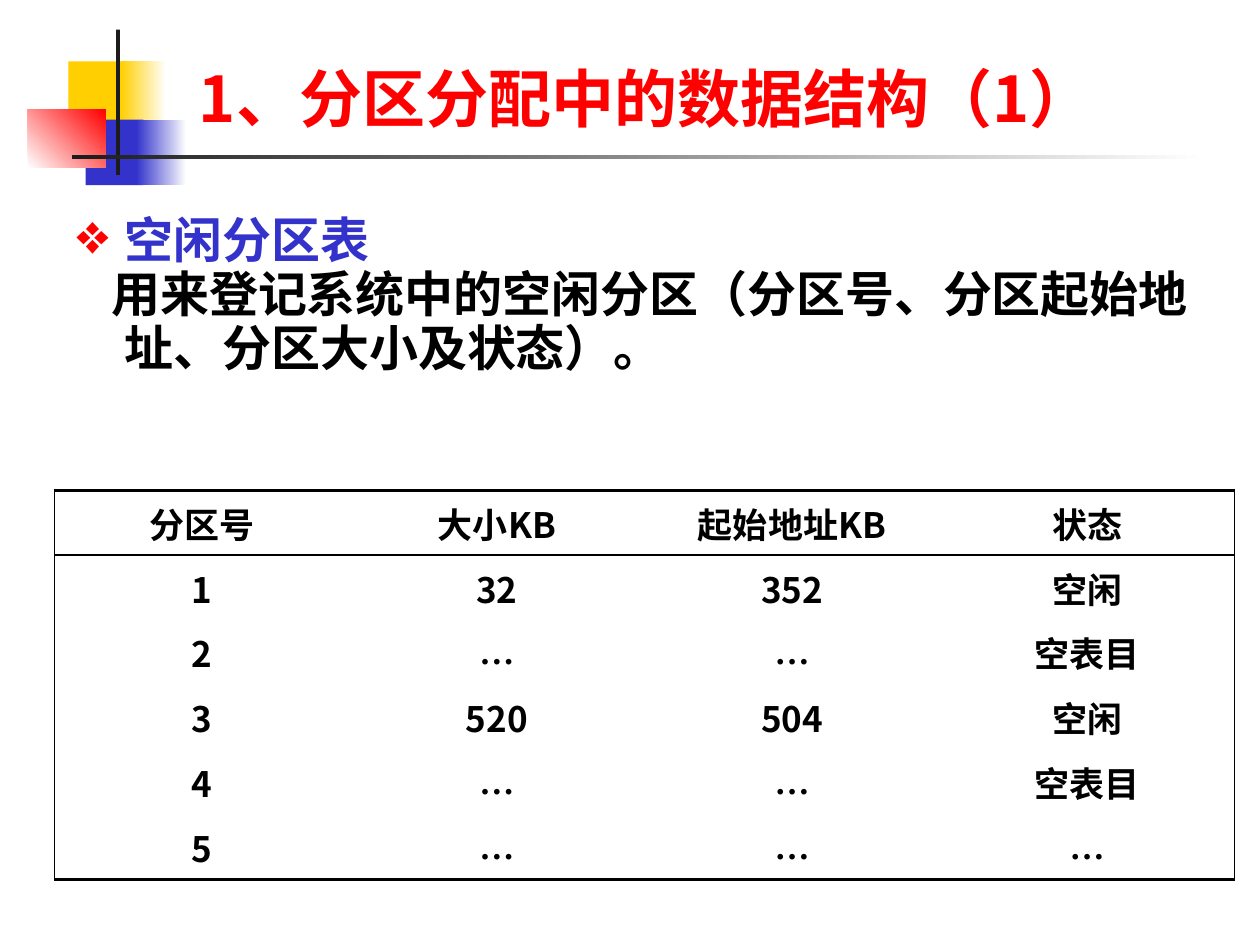
from dataclasses import dataclass

from lxml.etree import SubElement
from pptx import Presentation
from pptx.dml.color import RGBColor as Color
from pptx.enum.shapes import MSO_SHAPE as Shape
from pptx.enum.text import MSO_ANCHOR as Anchor, MSO_AUTO_SIZE as AutoSize, PP_ALIGN as Align
from pptx.oxml import parse_xml
from pptx.oxml.ns import nsdecls, qn
from pptx.util import Pt


@dataclass(frozen=True)
class Theme:
    font: str = "Noto Sans CJK SC"
    dots_font: str = "Times New Roman"
    title_size: int = 36
    body_size: int = 28
    cell_size: int = 20
    red: str = "FF0000"
    blue: str = "3333CC"
    yellow: str = "FFCF01"
    dark: str = "1C1C1C"
    black: str = "000000"
    white: str = "FFFFFF"


THEME = Theme()


def write(para, text, size, color, font=THEME.font, align=Align.LEFT, spacing=1.0):
    """Put bold text in a paragraph, with the same font for both scripts."""
    para.alignment = align
    para.line_spacing = spacing
    para.space_before = Pt(0)
    span = para.add_run()
    span.text = text
    span.font.name = font
    span.font.size = Pt(size)
    span.font.bold = True
    span.font.color.rgb = Color.from_string(color)
    SubElement(span.font._element, qn("a:ea"), typeface=font)


def indent(para, left, first, bullet=None):
    """Set a hanging indent in points and an optional coloured bullet."""
    props = para._p.get_or_add_pPr()
    props.set("marL", str(Pt(left)))
    props.set("indent", str(Pt(first)))
    if bullet:
        color = SubElement(props, qn("a:buClr"))
        SubElement(color, qn("a:srgbClr"), val=THEME.red)
        SubElement(props, qn("a:buSzPct"), val="115000")
        SubElement(props, qn("a:buChar"), char=bullet)
    else:
        SubElement(props, qn("a:buNone"))


def set_borders(cell, widths):
    """Draw the left, right, top and bottom edges; a width of 0 hides one."""
    props = cell._tc.get_or_add_tcPr()
    for place, (side, width) in enumerate(zip("LRTB", widths)):
        paint = (f'<a:solidFill><a:srgbClr val="{THEME.black}"/></a:solidFill>'
                 if width else "<a:noFill/>")
        props.insert(place, parse_xml(
            f'<a:ln{side} {nsdecls("a")} w="{Pt(width)}">{paint}</a:ln{side}>'))


class SlideBuilder:
    def __init__(self, page, theme):
        self.page = page
        self.theme = theme

    def block(self, left, top, width, height, start, end=None, angle=0):
        box = self.page.shapes.add_shape(
            Shape.RECTANGLE, Pt(left), Pt(top), Pt(width), Pt(height))
        box.shadow.inherit = False
        box.line.fill.background()
        if end is None:
            box.fill.solid()
            box.fill.fore_color.rgb = Color.from_string(start)
            return
        box.fill.gradient()
        box.fill.gradient_angle = angle
        for stop, color in zip(box.fill.gradient_stops, (start, end)):
            stop.color.rgb = Color.from_string(color)

    def title(self, text, left, top, width, height):
        box = self.page.shapes.title
        box.left, box.top, box.width, box.height = map(Pt, (left, top, width, height))
        frame = box.text_frame
        frame.auto_size = AutoSize.NONE
        frame.vertical_anchor = Anchor.BOTTOM
        frame.margin_bottom = 0
        write(frame.paragraphs[0], text, self.theme.title_size, self.theme.red)

    def body(self, heading, text, left, top, width, height):
        box = self.page.shapes.add_textbox(Pt(left), Pt(top), Pt(width), Pt(height))
        frame = box.text_frame
        frame.word_wrap = True
        frame.margin_top = Pt(6.5)
        size, spacing = self.theme.body_size, 0.92
        para = frame.paragraphs[0]
        indent(para, 27.4, -27.4, bullet="❖")
        write(para, heading, size, self.theme.blue, spacing=spacing)
        para = frame.add_paragraph()
        indent(para, 27.4, -7.6)
        write(para, text, size, self.theme.black, spacing=spacing)

    def table(self, rows, left, top, width, height):
        last_row, last_column = len(rows) - 1, len(rows[0]) - 1
        grid = self.page.shapes.add_table(
            len(rows), len(rows[0]), Pt(left), Pt(top), Pt(width), Pt(height)).table
        grid.first_row = grid.horz_banding = False
        for r, row in enumerate(rows):
            for c, text in enumerate(row):
                cell = grid.cell(r, c)
                cell.fill.background()
                cell.vertical_anchor = Anchor.MIDDLE
                cell.margin_top = cell.margin_bottom = Pt(2)
                # Heavy outer rules, with a thin one under the header
                set_borders(cell, (
                    1 if c == 0 else 0,
                    1 if c == last_column else 0,
                    {0: 2.25, 1: 1}.get(r, 0),
                    {0: 1, last_row: 2.25}.get(r, 0)))
                font = self.theme.dots_font if text == "…" else self.theme.font
                write(cell.text_frame.paragraphs[0], text, self.theme.cell_size,
                      self.theme.black, font=font, align=Align.CENTER)


def main():
    deck = Presentation()
    deck.slide_width, deck.slide_height = Pt(720), Pt(540)
    page = deck.slides.add_slide(deck.slide_layouts[5])
    builder = SlideBuilder(page, THEME)

    # Corner ornament: fading squares crossed by two thin bars
    builder.block(39, 35, 34.5, 37.5, THEME.yellow)
    builder.block(69, 35, 26, 37.5, THEME.yellow, THEME.white)
    builder.block(49, 68.3, 33, 37.5, THEME.blue)
    builder.block(78, 68.3, 28.5, 37.5, THEME.blue, THEME.white)
    builder.block(16, 62.5, 44.3, 33.3, THEME.white, THEME.red, angle=45)
    builder.block(66.3, 17, 2.3, 83, THEME.dark)
    builder.block(41, 88.5, 648, 2.5, THEME.dark, THEME.white)

    # Title and explanation
    builder.title("1、分区分配中的数据结构（1）", 106.5, 34.5, 613.5, 42.5)
    builder.body("空闲分区表",
                 "用来登记系统中的空闲分区（分区号、分区起始地址、分区大小及状态）。",
                 36.7, 116.6, 654, 156)

    # Free partition table
    builder.table([
        ("分区号", "大小KB", "起始地址KB", "状态"),
        ("1", "32", "352", "空闲"),
        ("2", "…", "…", "空表目"),
        ("3", "520", "504", "空闲"),
        ("4", "…", "…", "空表目"),
        ("5", "…", "…", "…"),
    ], 31, 280.2, 674.6, 222.6)

    deck.save("out.pptx")


if __name__ == "__main__":
    main()
